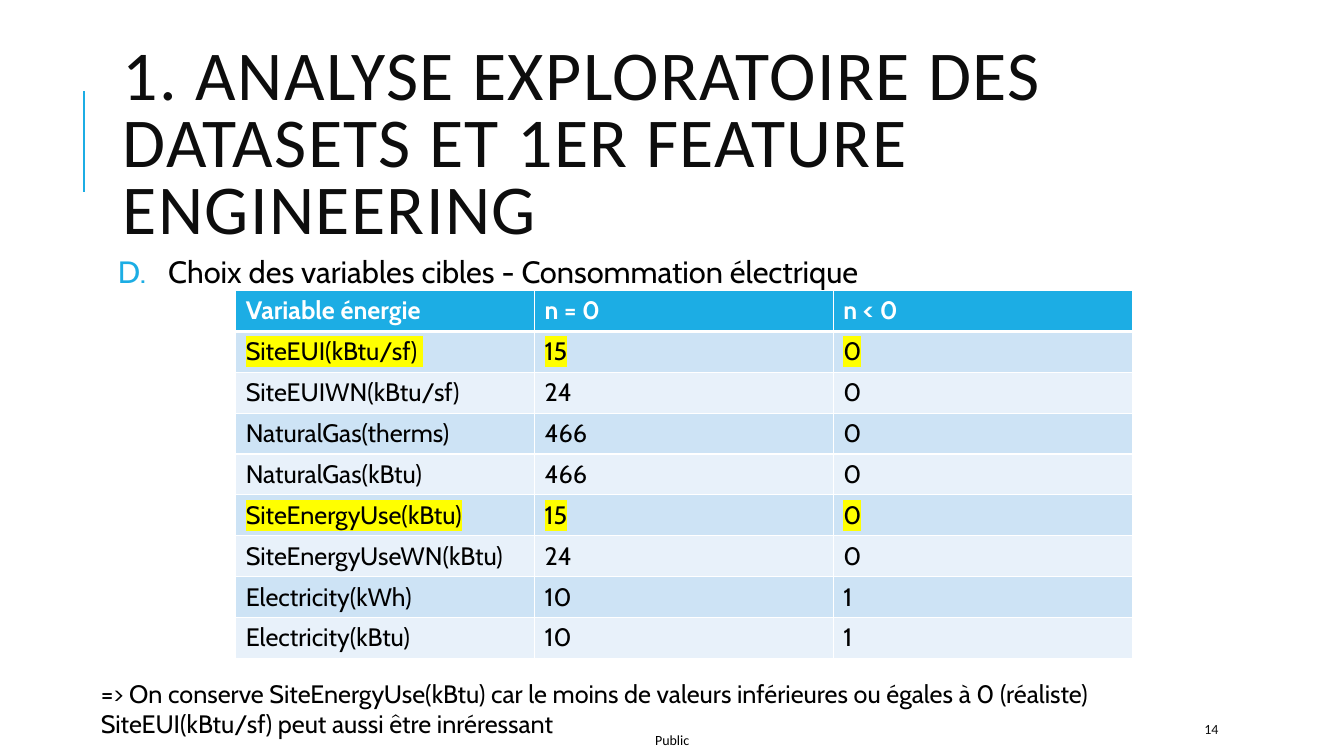
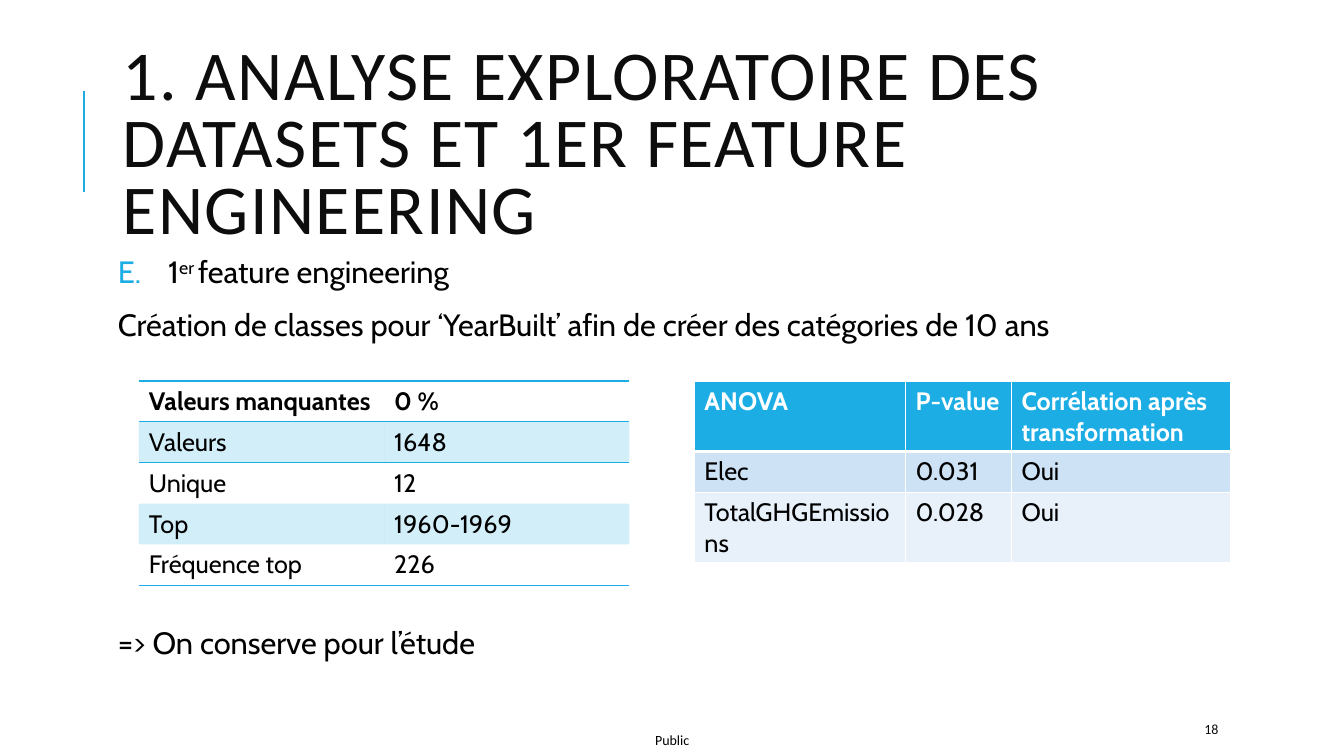
import pptx
import pptx.util
import pptx.dml.color
import pptx.enum.shapes
import pptx.enum.text
import pptx.oxml.ns
from lxml import etree

Cm, Pt = pptx.util.Cm, pptx.util.Pt
RGBColor = pptx.dml.color.RGBColor
qn = pptx.oxml.ns.qn

CYAN = RGBColor(0x1C, 0xAD, 0xE4)
BAND_DARK = RGBColor(0xCD, 0xE3, 0xF5)
BAND_LIGHT = RGBColor(0xE8, 0xF1, 0xFA)
YELLOW = RGBColor(0xFF, 0xFF, 0x00)
WHITE = RGBColor(0xFF, 0xFF, 0xFF)
BLACK = RGBColor(0x00, 0x00, 0x00)
INK = RGBColor(0x0D, 0x0D, 0x0D)

HEAD_FONT, BODY_FONT = "Calibri", "Cabin"
NO_STYLE = "{2D5ABB26-0587-4C30-8999-92F81FD0307C}"
TITLE = "1. ANALYSE EXPLORATOIRE DES DATASETS ET 1ER FEATURE ENGINEERING"
LEFT, WIDTH = Cm(2.84), Cm(27)
ROW_HEIGHT = Cm(1.03)


def add_run(p, text, size, color=BLACK, font=BODY_FONT, bold=False):
    r = p.add_run()
    r.text = text
    r.font.size, r.font.name, r.font.bold = Pt(size), font, bold
    r.font.color.rgb = color
    return r


def add_table(s, left, top, widths, rows, ruled=False, marked=()):
    """Ruled tables have cyan rules and tinted rows; others a cyan header and white grid.

    marked holds the row numbers whose text is highlighted.
    """
    table = s.shapes.add_table(len(rows), len(widths), left, top,
                               sum(widths), ROW_HEIGHT * len(rows)).table
    table._tbl.tblPr.find(qn("a:tableStyleId")).text = NO_STYLE
    table.first_row = table.horz_banding = False
    for column, width in zip(table.columns, widths):
        column.width = width

    for i, row in enumerate(rows):
        table.rows[i].height = ROW_HEIGHT
        if ruled:
            borders = {}
            if i < 2:
                borders["lnT"] = 1
            if i in (0, len(rows) - 1):
                borders["lnB"] = 1
        else:
            borders = {"lnL": 1, "lnR": 1, "lnT": 3 if i == 1 else 1,
                       "lnB": 3 if i == 0 else 1}

        for j, text in enumerate(row):
            cell = table.cell(i, j)
            tcPr = cell._tc.get_or_add_tcPr()
            if ruled and i % 2 == 0:
                cell.fill.background()
            else:
                cell.fill.solid()
                if ruled:
                    cell.fill.fore_color.rgb = CYAN
                    color = tcPr.find(".//" + qn("a:srgbClr"))
                    etree.SubElement(color, qn("a:alpha"), val="20000")
                elif i == 0:
                    cell.fill.fore_color.rgb = CYAN
                else:
                    cell.fill.fore_color.rgb = BAND_DARK if i % 2 else BAND_LIGHT

            for k, (side, width) in enumerate(borders.items()):
                ln = etree.Element(qn("a:" + side), w=str(Pt(width)))
                fill = etree.SubElement(ln, qn("a:solidFill"))
                etree.SubElement(fill, qn("a:srgbClr"), val=str(CYAN if ruled else WHITE))
                tcPr.insert(k, ln)

            r = add_run(cell.text_frame.paragraphs[0], text, 18,
                        WHITE if i == 0 and not ruled else BLACK, bold=i == 0)
            if i in marked:
                highlight = etree.Element(qn("a:highlight"))
                etree.SubElement(highlight, qn("a:srgbClr"), val=str(YELLOW))
                r.font._element.find(qn("a:solidFill")).addnext(highlight)


prs = pptx.Presentation()
prs.slide_width, prs.slide_height = Cm(33.87), Cm(19.05)

# Slide number, first letter of the list, body paragraphs as (space before, runs)
pages = [
    ("14", 4, [(12, ["Choix des variables cibles - Consommation électrique"])]),
    ("18", 5, [
        (12, ["1", "er ", "feature engineering"]),
        (12, ["Création de classes pour ‘YearBuilt’ afin de créer des catégories de 10 ans"]),
        (201, ["=> On conserve pour l’étude"]),
    ]),
]

for number, start, paragraphs in pages:
    s = prs.slides.add_slide(prs.slide_layouts[1])

    rule = s.shapes.add_connector(pptx.enum.shapes.MSO_CONNECTOR.STRAIGHT,
                                  Cm(2.12), Cm(4.83), Cm(2.12), Cm(2.29))
    rule.line.color.rgb = CYAN
    rule.line.width = Pt(1.5)
    etree.SubElement(rule._element.spPr, qn("a:effectLst"))

    title = s.shapes.title
    title.left, title.top, title.width, title.height = LEFT, Cm(1.63), WIDTH, Cm(4.17)
    tf = title.text_frame
    tf.auto_size = pptx.enum.text.MSO_AUTO_SIZE.NONE
    tf.vertical_anchor = pptx.enum.text.MSO_ANCHOR.MIDDLE
    p = tf.paragraphs[0]
    p.alignment = pptx.enum.text.PP_ALIGN.LEFT
    p.line_spacing = 0.8
    r = add_run(p, TITLE, 50, INK, HEAD_FONT)
    r.font._element.set("spc", "100")

    body = s.placeholders[1]
    body.left, body.top, body.width, body.height = LEFT, Cm(6.35), WIDTH, Cm(11.18)
    tf = body.text_frame
    tf.auto_size = pptx.enum.text.MSO_AUTO_SIZE.NONE
    tf.margin_left = tf.margin_right = tf.margin_top = tf.margin_bottom = Cm(0.13)
    for i, (space, texts) in enumerate(paragraphs):
        p = tf.add_paragraph() if i else tf.paragraphs[0]
        p.line_spacing = 0.9
        p.space_before, p.space_after = Pt(space), Pt(2)
        for text in texts:
            r = add_run(p, text, 22)
            if text == "er ":
                r.font._element.set("baseline", "30000")
        pPr = p._p.get_or_add_pPr()
        indent = Cm(0 if i else 1.27)
        pPr.set("marL", str(indent))
        pPr.set("indent", str(-indent))
        if i:
            etree.SubElement(pPr, qn("a:buNone"))
        else:
            color = etree.SubElement(pPr, qn("a:buClr"))
            etree.SubElement(color, qn("a:srgbClr"), val=str(CYAN))
            etree.SubElement(pPr, qn("a:buFont"), typeface=BODY_FONT)
            etree.SubElement(pPr, qn("a:buAutoNum"), type="alphaUcPeriod", startAt=str(start))

    tf = s.shapes.add_textbox(Cm(16.51), Cm(18.44), Cm(0.94), Cm(0.43)).text_frame
    tf.margin_left = tf.margin_right = tf.margin_top = tf.margin_bottom = 0
    tf.word_wrap = False
    add_run(tf.paragraphs[0], "Public", 10, BLACK, HEAD_FONT)

    tf = s.shapes.add_textbox(Cm(30.1), Cm(17.98), Cm(2.69), Cm(0.76)).text_frame
    tf.word_wrap = True
    tf.vertical_anchor = pptx.enum.text.MSO_ANCHOR.MIDDLE
    add_run(tf.paragraphs[0], number, 10, INK, HEAD_FONT)

targets, classes = prs.slides

add_table(targets, Cm(5.94), Cm(7.32), [Cm(7.53)] * 3, [
    ("Variable énergie", "n = 0", "n < 0"),
    ("SiteEUI(kBtu/sf) ", "15", "0"),
    ("SiteEUIWN(kBtu/sf)", "24", "0"),
    ("NaturalGas(therms)", "466", "0"),
    ("NaturalGas(kBtu)", "466", "0"),
    ("SiteEnergyUse(kBtu)", "15", "0"),
    ("SiteEnergyUseWN(kBtu)", "24", "0"),
    ("Electricity(kWh)", "10", "1"),
    ("Electricity(kBtu)", "10", "1"),
], marked=(1, 5))

tf = targets.shapes.add_textbox(Cm(2.29), Cm(16.97), Cm(28.75), Cm(1.8)).text_frame
tf.word_wrap = True
add_run(tf.paragraphs[0], "=> On conserve SiteEnergyUse(kBtu) car le moins de valeurs "
        "inférieures ou égales à 0 (réaliste)", 18)
add_run(tf.add_paragraph(), "SiteEUI(kBtu/sf) peut aussi être inréressant", 18)

add_table(classes, Cm(3.5), Cm(9.6), [Cm(6.18)] * 2, [
    ("Valeurs manquantes", "0 %"),
    ("Valeurs", "1648"),
    ("Unique", "12"),
    ("Top", "1960-1969"),
    ("Fréquence top", "226"),
], ruled=True)

add_table(classes, Cm(17.5), Cm(9.6), [Cm(5.32), Cm(2.67), Cm(5.52)], [
    ("ANOVA", "P-value", "Corrélation après transformation"),
    ("Elec", "0.031", "Oui"),
    ("TotalGHGEmissions", "0.028", "Oui"),
])

prs.save("out.pptx")
